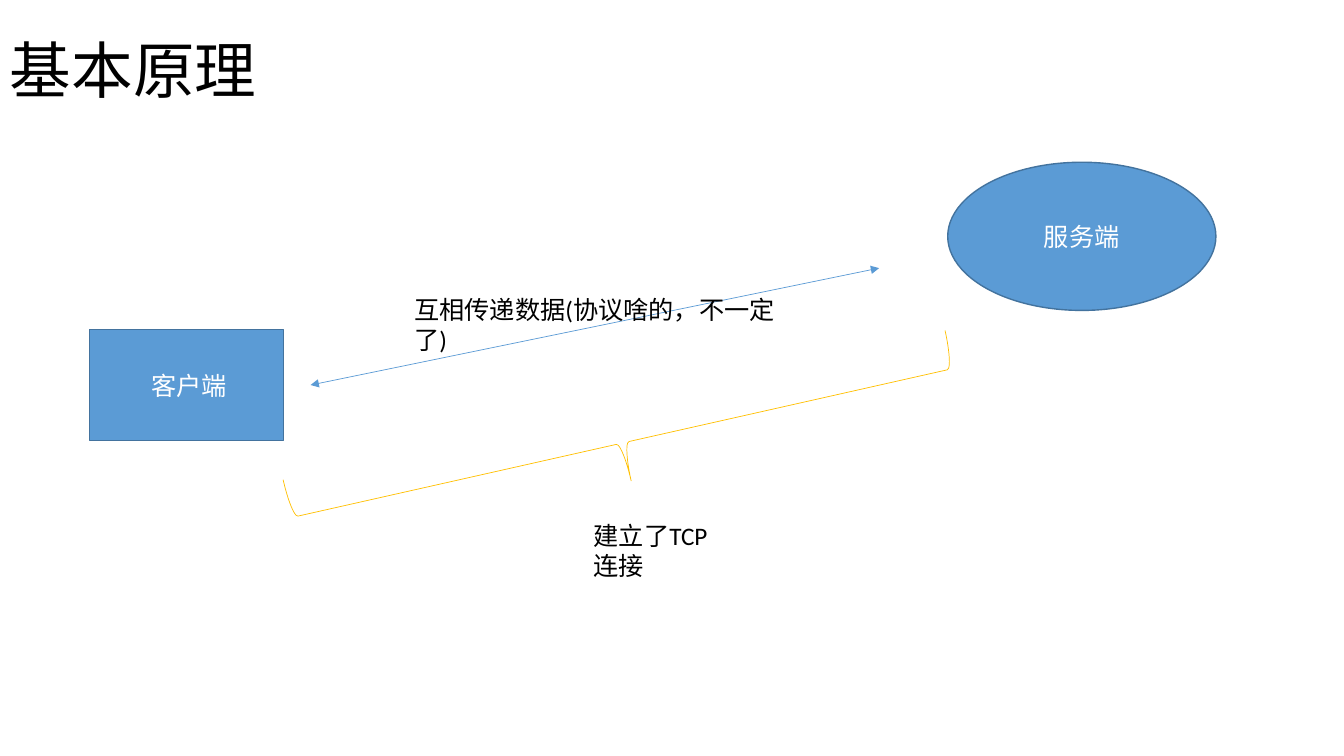
import pptx
import pptx.util
import pptx.dml.color
import pptx.enum.shapes
import pptx.enum.text
import pptx.oxml
import pptx.oxml.ns

Inches = pptx.util.Inches
Pt = pptx.util.Pt
MSO_SHAPE = pptx.enum.shapes.MSO_SHAPE
ANCHOR = pptx.enum.text.MSO_ANCHOR
ALIGN = pptx.enum.text.PP_ALIGN
FONT = "Calibri"
BLUE = "5B9BD5"


def rgb(value):
    return pptx.dml.color.RGBColor.from_string(value)


def write(sp, text, size, color="000000", anchor=ANCHOR.TOP, align=ALIGN.LEFT):
    tf = sp.text_frame
    tf.word_wrap = True
    tf.vertical_anchor = anchor
    p = tf.paragraphs[0]
    p.text = text
    p.alignment = align
    r = p.runs[0]
    r.font.size = Pt(size)
    r.font.name = FONT
    r.font.color.rgb = rgb(color)
    return p


def add_label(slide, box, text):
    sp = slide.shapes.add_textbox(*map(Inches, box))
    write(sp, text, 18)


def add_title(slide, box, text):
    sp = slide.shapes.add_textbox(*map(Inches, box))
    p = write(sp, text, 44, anchor=ANCHOR.MIDDLE)
    p.line_spacing = 0.9


def add_endpoint(slide, kind, box, text):
    sp = slide.shapes.add_shape(kind, *map(Inches, box))
    sp.shadow.inherit = False
    sp.fill.solid()
    sp.fill.fore_color.rgb = rgb(BLUE)
    sp.line.color.rgb = rgb("43739E")
    sp.line.width = Pt(1)
    write(sp, text, 18, "FFFFFF", ANCHOR.MIDDLE, ALIGN.CENTER)


def add_exchange(slide, box, text, label_box):
    left, top, width, height = box
    line = slide.shapes.add_connector(
        pptx.enum.shapes.MSO_CONNECTOR.STRAIGHT,
        Inches(left), Inches(top + height), Inches(left + width), Inches(top))
    line.line.color.rgb = rgb(BLUE)
    line.line.width = Pt(0.5)
    ln = line.line._get_or_add_ln()
    for tag in ("a:headEnd", "a:tailEnd"):
        end = pptx.oxml.ns.qn(tag)
        ln.append(ln.makeelement(end, {"type": "triangle"}))
    effects = pptx.oxml.ns.qn("a:effectLst")
    sp_pr = line._element.spPr
    sp_pr.append(sp_pr.makeelement(effects, {}))
    add_label(slide, label_box, text)


def add_connection(slide, box, angle, text, label_box):
    brace = slide.shapes.add_shape(MSO_SHAPE.RIGHT_BRACE, *map(Inches, box))
    brace.rotation = angle
    brace.shadow.inherit = False
    brace.fill.background()
    brace.line.color.rgb = rgb("FFC000")
    brace.line.width = Pt(0.5)
    add_label(slide, label_box, text)


def main():
    prs = pptx.Presentation()
    prs.slide_width = Inches(13.33)
    prs.slide_height = Inches(7.5)
    slide = prs.slides.add_slide(prs.slide_layouts[6])
    add_title(slide, (0, 0, 11.5, 1.45), "基本原理")
    add_endpoint(slide, MSO_SHAPE.RECTANGLE, (0.89, 3.27, 1.92, 1.1), " 客户端")
    add_endpoint(slide, MSO_SHAPE.OVAL, (9.4, 1.61, 2.66, 1.47), "服务端")
    add_exchange(slide, (3.08, 2.66, 5.64, 1.16),
                 "互相传递数据(协议啥的，不一定了)", (4.01, 2.87, 4.09, 0.4))
    add_connection(slide, (5.79, 1.03, 0.77, 6.73), 77.3,
                   "建立了TCP连接", (5.79, 5.11, 1.53, 0.71))
    prs.save("out.pptx")


if __name__ == "__main__":
    main()
